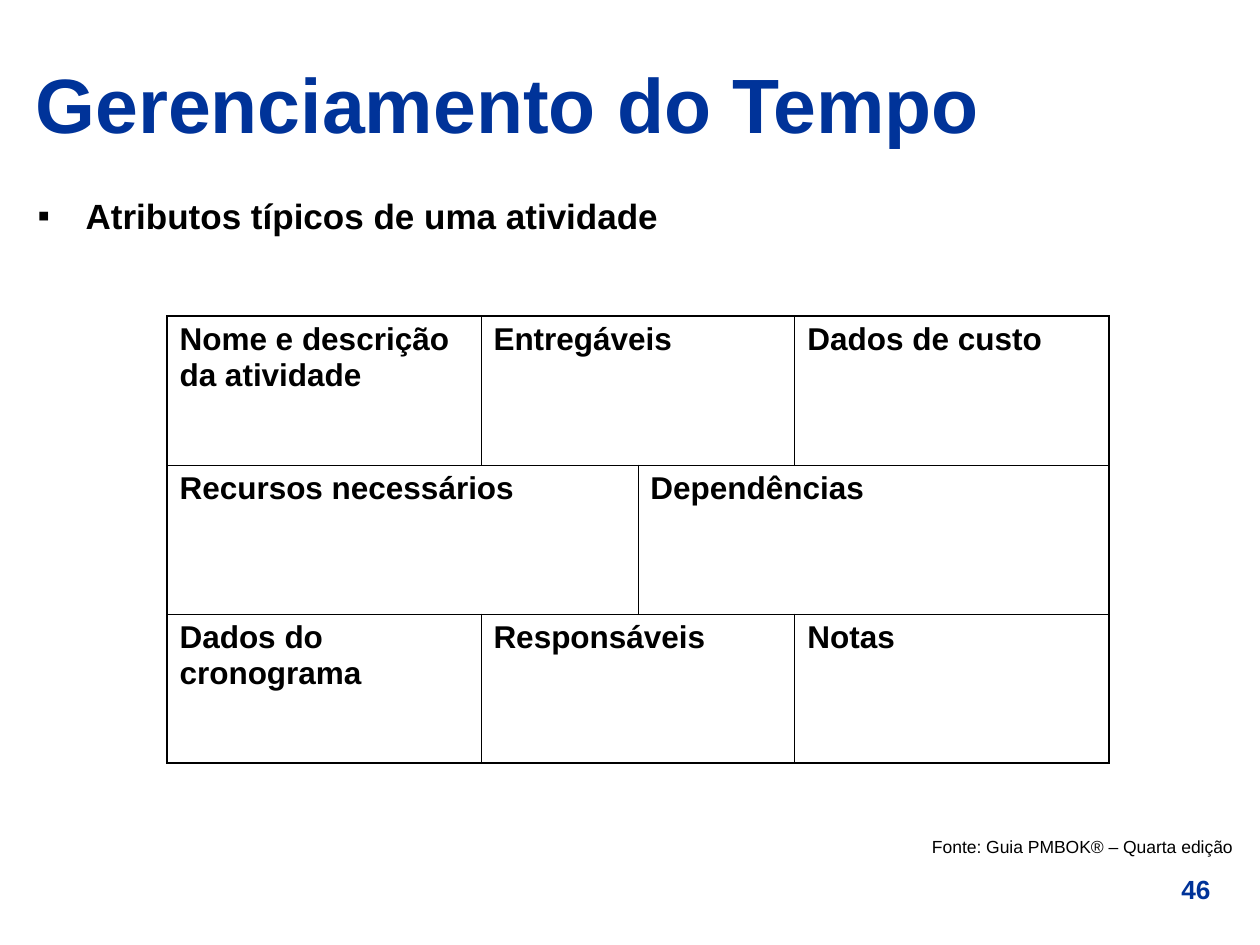
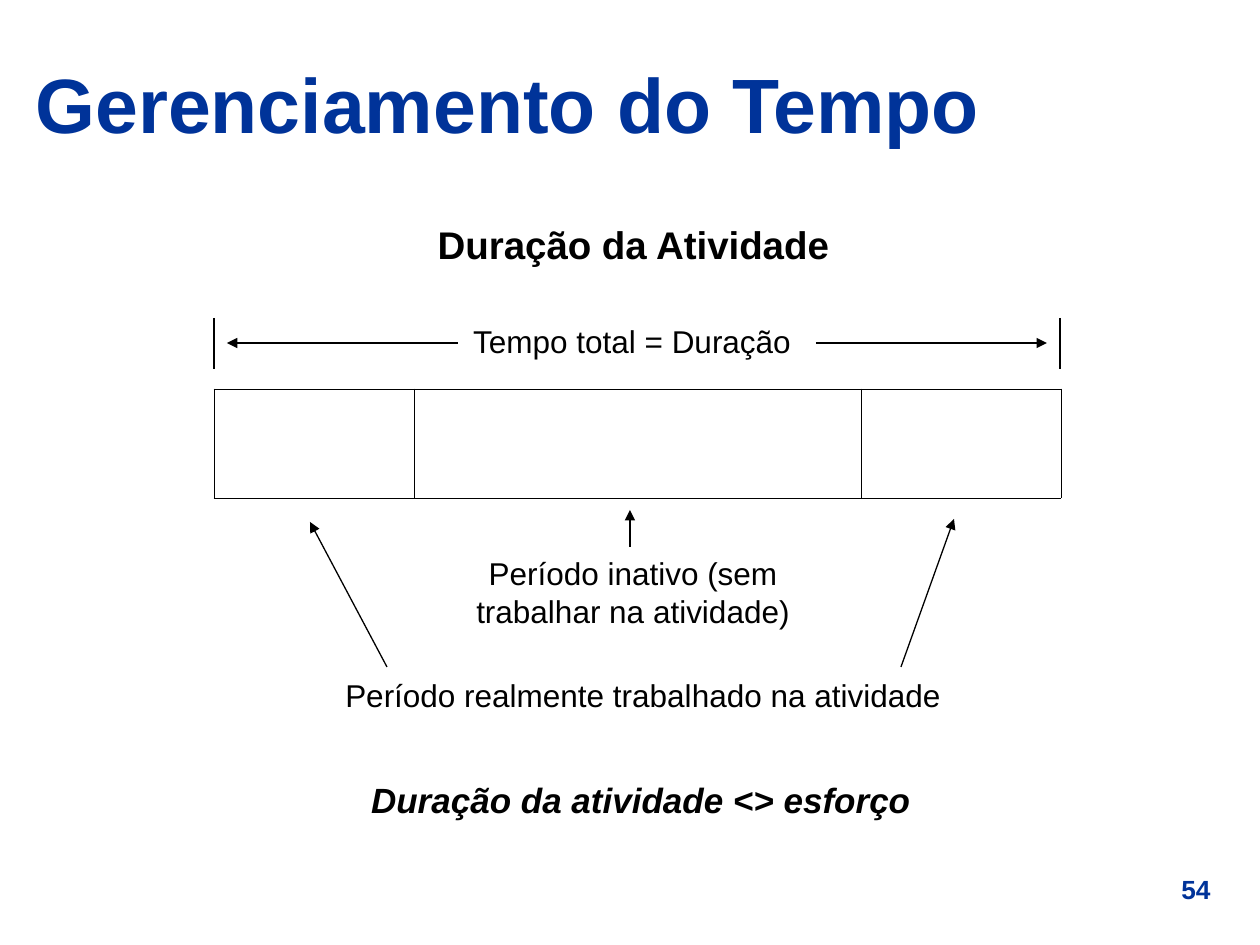
from dataclasses import dataclass

from pptx import Presentation
from pptx.dml.color import RGBColor
from pptx.enum.shapes import MSO_CONNECTOR
from pptx.enum.text import MSO_ANCHOR, MSO_AUTO_SIZE, PP_ALIGN
from pptx.oxml.ns import qn
from pptx.util import Inches, Pt
from lxml.etree import SubElement

PX = 7257  # EMU in one px, 126 px to the inch


@dataclass(frozen=True)
class Theme:
    font: str = "Arial"
    blue: RGBColor = RGBColor(0x00, 0x33, 0x99)
    black: RGBColor = RGBColor(0, 0, 0)
    title: int = 44
    subtitle: int = 22
    bullet: int = 20
    label: int = 18
    number: int = 15
    source: int = 10
    thin: float = 0.45
    line: float = 0.75
    thick: float = 1.08


theme = Theme()


def write(shape, box, text, size, align=PP_ALIGN.LEFT, color=theme.black,
          bold=False, italic=False, bullet=None):
    """Place a text box or placeholder and fill it with one formatted paragraph."""
    shape.left, shape.top, shape.width, shape.height = [n * PX for n in box]
    frame = shape.text_frame
    frame.word_wrap = True
    frame.auto_size = MSO_AUTO_SIZE.NONE
    para = frame.paragraphs[0]
    para.text = text
    para.alignment = align
    para.space_before = Pt(0)
    properties = para._p.get_or_add_pPr()
    indent = 48 * PX if bullet else 0
    properties.set("marL", str(indent))
    properties.set("indent", str(-indent))
    if bullet:
        SubElement(properties, qn("a:buChar")).set("char", bullet)
    else:
        SubElement(properties, qn("a:buNone"))
    font = para.font
    font.name, font.size, font.bold, font.italic = theme.font, Pt(size), bold, italic
    font.color.rgb = color


def add_grid(page, left, top, widths, row_height, rows, outer):
    """Add a ruled table; each row lists (text, columns spanned)."""
    table = page.shapes.add_table(
        len(rows), len(widths), left * PX, top * PX,
        sum(widths) * PX, row_height * len(rows) * PX).table
    table.first_row = table.horz_banding = False
    for column, width in zip(table.columns, widths):
        column.width = width * PX
    for row_index, row in enumerate(rows):
        start = 0
        for text, span in row:
            end = start + span
            first = table.cell(row_index, start)
            if span > 1:
                first.merge(table.cell(row_index, end - 1))
            first.text = text
            font = first.text_frame.paragraphs[0].font
            font.name, font.size, font.bold = theme.font, Pt(theme.label), True
            font.color.rgb = theme.black
            on_edge = {"L": start == 0, "R": end == len(widths),
                       "T": row_index == 0, "B": row_index == len(rows) - 1}
            for index in range(start, end):
                cell = table.cell(row_index, index)
                properties = cell._tc.get_or_add_tcPr()
                for side, is_outer in on_edge.items():
                    border = SubElement(properties, qn(f"a:ln{side}"))
                    border.set("w", str(Pt(outer if is_outer else theme.thin)))
                    fill = SubElement(border, qn("a:solidFill"))
                    SubElement(fill, qn("a:srgbClr")).set("val", str(theme.black))
                cell.fill.background()
            start = end


deck = Presentation()
deck.slide_width, deck.slide_height = Inches(10), Inches(7.5)

pages = []
for number in ("46", "54"):
    page = deck.slides.add_slide(deck.slide_layouts[1])
    write(page.shapes.title, (23, 39, 1212, 127), "Gerenciamento do Tempo",
          theme.title, color=theme.blue, bold=True)
    page.shapes.title.text_frame.vertical_anchor = MSO_ANCHOR.MIDDLE
    write(page.shapes.add_textbox(0, 0, 0, 0), (1146, 867, 100, 44), number,
          theme.number, PP_ALIGN.CENTER, theme.blue, bold=True)
    pages.append(page)
attributes_page, duration_page = pages

# Activity attributes
write(attributes_page.placeholders[1], (25, 188, 1200, 78),
      "Atributos típicos de uma atividade", theme.bullet, bold=True, bullet="▪")
write(attributes_page.shapes.add_textbox(0, 0, 0, 0), (917, 830, 328, 34),
      "Fonte: Guia PMBOK® – Quarta edição", theme.source, PP_ALIGN.RIGHT)
attributes = [
    [("Nome e descrição da atividade", 1), ("Entregáveis", 2), ("Dados de custo", 1)],
    [("Recursos necessários", 2), ("Dependências", 2)],
    [("Dados do cronograma", 1), ("Responsáveis", 2), ("Notas", 1)],
]
add_grid(attributes_page, 167, 316, (314, 157, 157, 314), 149, attributes, theme.thick)

# Activity duration
write(duration_page.placeholders[1], (336, 215, 595, 66), "Duração da Atividade",
      theme.subtitle, PP_ALIGN.CENTER, bold=True)
add_grid(duration_page, 214, 389, (200, 447, 200), 109,
         [[("", 1), ("", 1), ("", 1)]], theme.thin)
write(duration_page.shapes.add_textbox(0, 0, 0, 0), (346, 772, 590, 55),
      "Duração da atividade <> esforço", theme.bullet, PP_ALIGN.CENTER,
      bold=True, italic=True)
labels = [
    ("Tempo total = Duração", (452, 316, 360, 50)),
    ("Período inativo (sem trabalhar na atividade)", (447, 548, 372, 88)),
    ("Período realmente trabalhado na atividade", (325, 670, 636, 50)),
]
for text, box in labels:
    write(duration_page.shapes.add_textbox(0, 0, 0, 0), box, text,
          theme.label, PP_ALIGN.CENTER)

arrows = [
    (630, 547, 630, 510),
    (387, 667, 310, 522),
    (901, 667, 954, 519),
    (816, 343, 1047, 343),
    (458, 343, 227, 343),
]
end_marks = [(x, 318, x, 369) for x in (214, 1060)]
for ends in arrows + end_marks:
    connector = duration_page.shapes.add_connector(
        MSO_CONNECTOR.STRAIGHT, *[n * PX for n in ends])
    connector.line.color.rgb = theme.black
    connector.line.width = Pt(theme.line)
    properties = connector._element.spPr
    if ends in arrows:
        SubElement(properties.find(qn("a:ln")), qn("a:tailEnd")).set("type", "triangle")
    SubElement(properties, qn("a:effectLst"))

deck.save("out.pptx")
